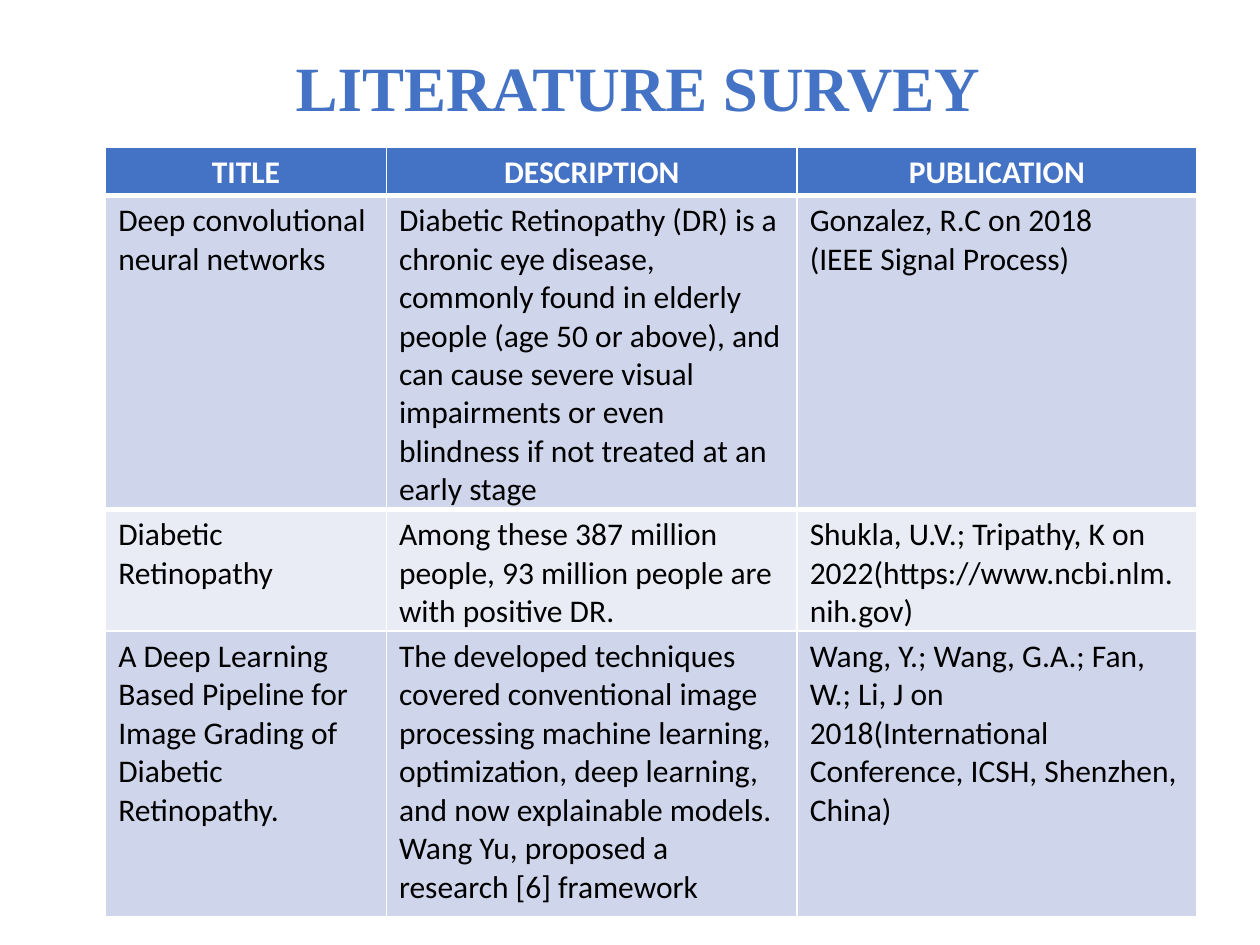
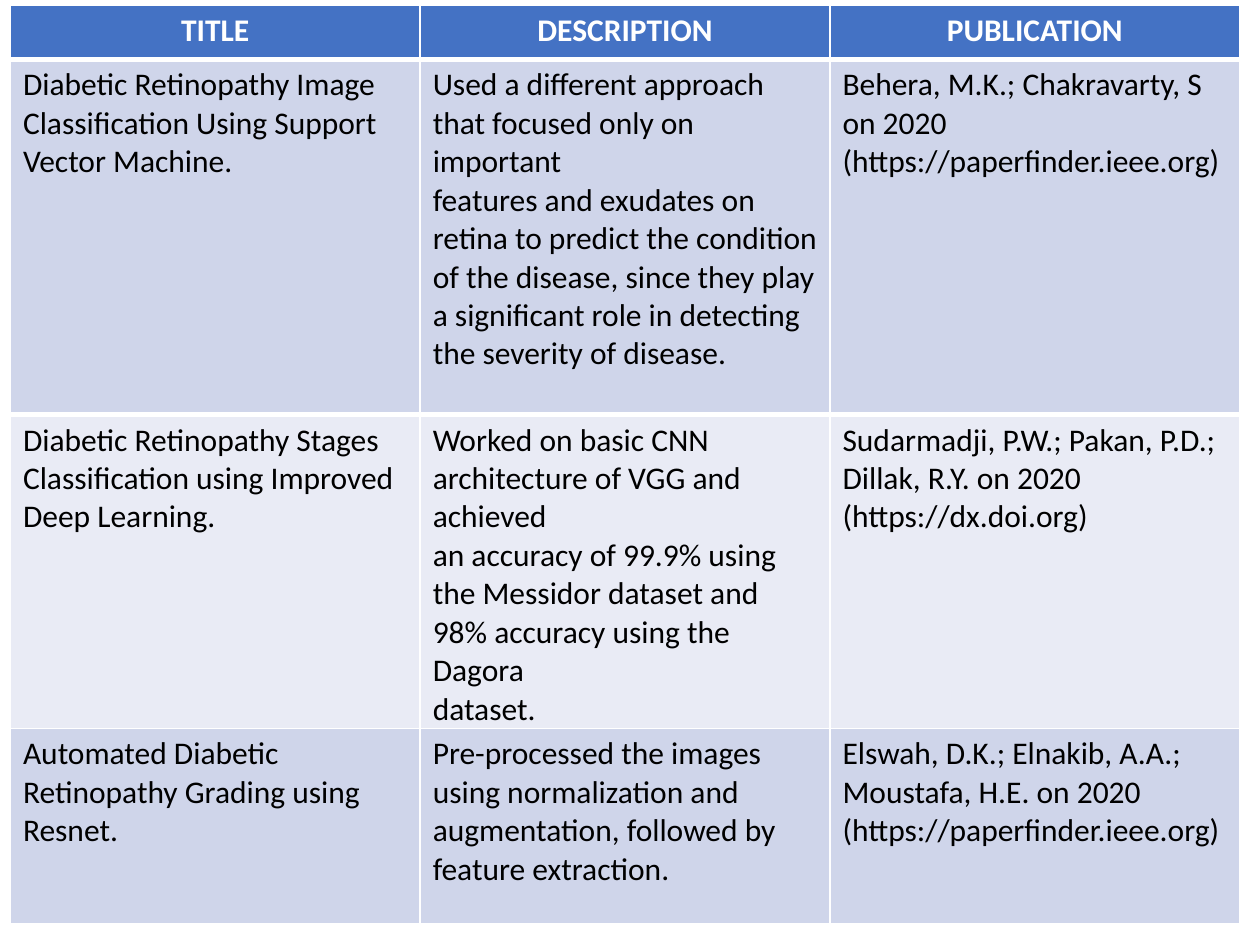
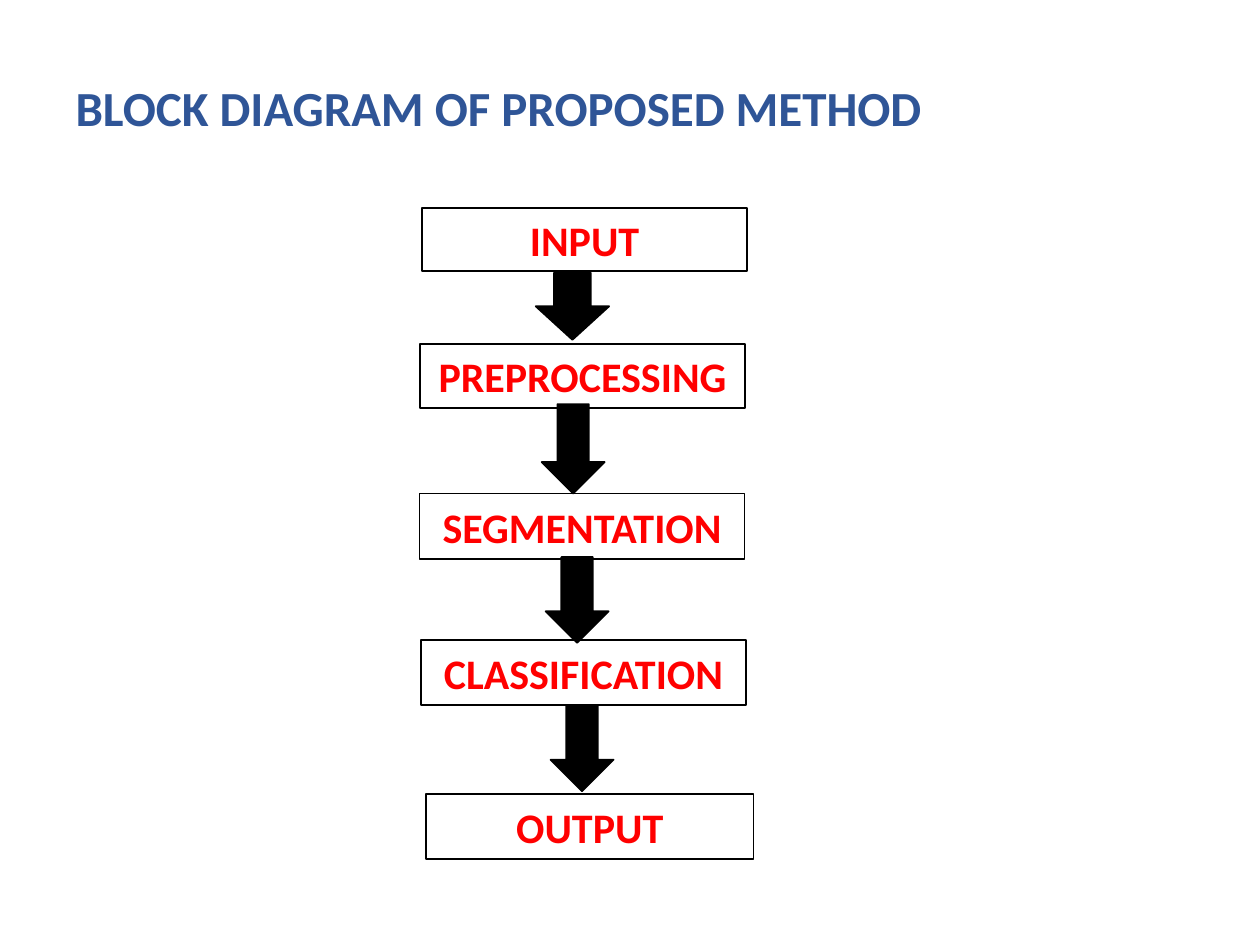
from dataclasses import dataclass

from lxml import etree
from pptx import Presentation
from pptx.dml.color import RGBColor
from pptx.enum import shapes, text
from pptx.oxml import ns
from pptx.util import Cm, Pt

BLUE = RGBColor(0x44, 0x72, 0xC4)
DARK_BLUE = RGBColor(0x2F, 0x55, 0x97)
BAND_DARK = RGBColor(0xCF, 0xD5, 0xEA)
BAND_LIGHT = RGBColor(0xE9, 0xEB, 0xF5)
WHITE = RGBColor(0xFF, 0xFF, 0xFF)
BLACK = RGBColor(0x00, 0x00, 0x00)
RED = RGBColor(0xFF, 0x00, 0x00)

BODY_FONT = "Calibri"
TITLE_FONT = "Times New Roman"
LEFT = text.PP_ALIGN.LEFT
CENTER = text.PP_ALIGN.CENTER
TITLE_ONLY, BLANK = 5, 6


@dataclass(frozen=True)
class Box:
    left: float
    top: float
    width: float
    height: float

    def lengths(self):
        return Cm(self.left), Cm(self.top), Cm(self.width), Cm(self.height)


@dataclass(frozen=True)
class Survey:
    left: float
    top: float
    columns: list[float]
    rows: list[float]
    papers: list[tuple[str, str, str]]


@dataclass(frozen=True)
class Stage:
    label: str
    box: Box


HEADINGS = ("TITLE", "DESCRIPTION", "PUBLICATION")

FIRST_SURVEY = Survey(2.13, 2.97, [5.66, 8.28, 8.05], [0.97, 6.07, 2.44, 5.77], [
    ("Deep convolutional neural networks",
     "Diabetic Retinopathy (DR) is a chronic eye disease, commonly found in elderly people "
     "(age 50 or above), and can cause severe visual impairments or even blindness if not "
     "treated at an early stage",
     "Gonzalez, R.C on 2018\n(IEEE Signal Process)"),
    ("Diabetic Retinopathy",
     "Among these 387 million people, 93 million people are with positive DR.",
     "Shukla, U.V.; Tripathy, K on 2022(https://www.ncbi.nlm.nih.gov)"),
    ("A Deep Learning Based Pipeline for Image Grading of Diabetic Retinopathy.",
     "The developed techniques covered conventional image processing machine learning, "
     "optimization, deep learning, and now explainable models. Wang Yu, proposed a "
     "research [6] framework",
     "Wang, Y.; Wang, G.A.; Fan, W.; Li, J on 2018(International Conference, ICSH, "
     "Shenzhen, China)"),
])

SECOND_SURVEY = Survey(0.21, 0.11, [8.26] * 3, [1.09, 7.16, 6.15, 3.94], [
    ("Diabetic Retinopathy Image Classification Using Support Vector Machine.",
     "Used a different approach that focused only on important\n"
     "features and exudates on retina to predict the condition of the disease, since they play\n"
     "a significant role in detecting the severity of disease.",
     "Behera, M.K.; Chakravarty, S on 2020\n(https://paperfinder.ieee.org)"),
    ("Diabetic Retinopathy Stages Classification using Improved Deep Learning.",
     "Worked on basic CNN architecture of VGG and achieved\n"
     "an accuracy of 99.9% using the Messidor dataset and 98% accuracy using the Dagora\n"
     "dataset.",
     "Sudarmadji, P.W.; Pakan, P.D.; Dillak, R.Y. on 2020\n(https://dx.doi.org)"),
    ("Automated Diabetic Retinopathy Grading using Resnet.",
     "Pre-processed the images using normalization and augmentation, followed by feature "
     "extraction.",
     "Elswah, D.K.; Elnakib, A.A.; Moustafa, H.E. on 2020\n(https://paperfinder.ieee.org)"),
])

STAGES = [
    Stage("INPUT", Box(8.51, 4.19, 6.55, 1.28)),
    Stage("PREPROCESSING", Box(8.47, 6.94, 6.55, 1.28)),
    Stage("SEGMENTATION", Box(8.46, 9.95, 6.55, 1.32)),
    Stage("CLASSIFICATION", Box(8.49, 12.9, 6.55, 1.32)),
    Stage("OUTPUT", Box(8.59, 16, 6.6, 1.32)),
]
FLOW_ARROWS = [
    Box(10.8, 5.5, 1.48, 1.35),
    Box(10.92, 8.15, 1.27, 1.8),
    Box(11, 11.23, 1.27, 1.73),
    Box(11.1, 14.22, 1.27, 1.73),
]


def write(frame, content: str, *, size: float, color: RGBColor, font: str = BODY_FONT,
          bold: bool = False, align=LEFT) -> None:
    frame.text = content
    frame.word_wrap = True
    for paragraph in frame.paragraphs:
        paragraph.alignment = align
        for run in paragraph.runs:
            run.font.name = font
            run.font.size = Pt(size)
            run.font.bold = bold
            run.font.color.rgb = color


def set_title(slide, content: str, box: Box, **style) -> None:
    title = slide.shapes.title
    title.left, title.top, title.width, title.height = box.lengths()
    title.text_frame.auto_size = text.MSO_AUTO_SIZE.NONE
    title.text_frame.vertical_anchor = text.MSO_ANCHOR.MIDDLE
    write(title.text_frame, content, bold=True, **style)


def set_border(cell, side: str, points: float) -> None:
    properties = cell._tc.get_or_add_tcPr()
    line = etree.Element(ns.qn(f"a:{side}"), w=str(Pt(points)))
    fill = etree.SubElement(line, ns.qn("a:solidFill"))
    etree.SubElement(fill, ns.qn("a:srgbClr"), val=str(WHITE))
    properties.insert(0, line)


def add_survey(slide, survey: Survey) -> None:
    box = Box(survey.left, survey.top, sum(survey.columns), sum(survey.rows))
    table = slide.shapes.add_table(len(survey.rows), len(survey.columns), *box.lengths()).table
    for column, width in zip(table.columns, survey.columns):
        column.width = Cm(width)
    for row, height in zip(table.rows, survey.rows):
        row.height = Cm(height)
    for r, entries in enumerate([HEADINGS, *survey.papers]):
        heading = r == 0
        band = BLUE if heading else BAND_DARK if r % 2 else BAND_LIGHT
        for c, entry in enumerate(entries):
            cell = table.cell(r, c)
            cell.margin_bottom = 0
            cell.fill.solid()
            cell.fill.fore_color.rgb = band
            if heading:
                set_border(cell, "lnB", 3)
            elif r == 1:
                set_border(cell, "lnT", 3)
            write(cell.text_frame, entry, size=18, bold=heading,
                  color=WHITE if heading else BLACK, align=CENTER if heading else LEFT)


def add_block(slide, kind, box: Box, fill: RGBColor):
    block = slide.shapes.add_shape(kind, *box.lengths())
    block.shadow.inherit = False
    block.fill.solid()
    block.fill.fore_color.rgb = fill
    block.line.color.rgb = BLACK
    block.line.width = Pt(1)
    return block


def add_diagram(slide) -> None:
    for stage in STAGES:
        block = add_block(slide, shapes.MSO_SHAPE.RECTANGLE, stage.box, WHITE)
        block.text_frame.vertical_anchor = text.MSO_ANCHOR.MIDDLE
        write(block.text_frame, stage.label, size=24, color=RED, bold=True, align=CENTER)
    for arrow in FLOW_ARROWS:
        add_block(slide, shapes.MSO_SHAPE.DOWN_ARROW, arrow, BLACK)


def main() -> None:
    deck = Presentation()
    deck.slide_width, deck.slide_height = Cm(25.4), Cm(19.05)
    survey_slide, continued_slide, method_slide = (
        deck.slides.add_slide(deck.slide_layouts[layout])
        for layout in (TITLE_ONLY, BLANK, TITLE_ONLY))

    set_title(survey_slide, "LITERATURE SURVEY", Box(3.33, 0.84, 16.76, 1.8),
              size=36, color=BLUE, font=TITLE_FONT, align=CENTER)
    survey_slide.shapes.title.text_frame.margin_left = Cm(2.3)
    survey_slide.shapes.title.text_frame.margin_right = 0
    add_survey(survey_slide, FIRST_SURVEY)

    add_survey(continued_slide, SECOND_SURVEY)

    set_title(method_slide, "BLOCK DIAGRAM OF PROPOSED METHOD", Box(1.27, 1.42, 22.86, 1.45),
              size=28, color=DARK_BLUE)
    add_diagram(method_slide)

    deck.save("out.pptx")


if __name__ == "__main__":
    main()
